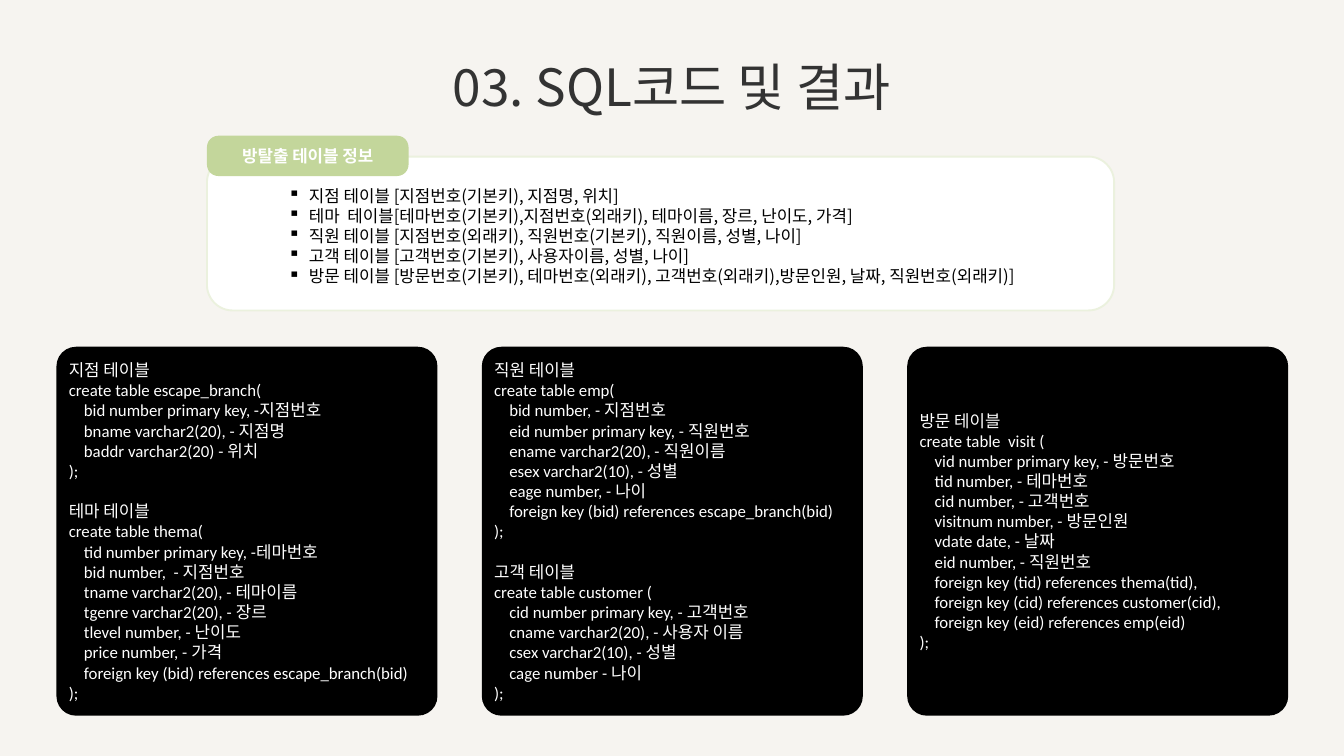
import pptx
import pptx.util
import pptx.dml.color
import pptx.enum.shapes
import pptx.enum.text
import lxml.etree

KOREAN = "Noto Sans CJK KR"
TITLE = "03. SQL코드 및 결과"
INFO_LABEL = "방탈출 테이블 정보"
TABLE_INFO = [
    "지점 테이블 [지점번호(기본키), 지점명, 위치]",
    "테마  테이블[테마번호(기본키),지점번호(외래키), 테마이름, 장르, 난이도, 가격]",
    "직원 테이블 [지점번호(외래키), 직원번호(기본키), 직원이름, 성별, 나이]",
    "고객 테이블 [고객번호(기본키), 사용자이름, 성별, 나이]",
    "방문 테이블 [방문번호(기본키), 테마번호(외래키), 고객번호(외래키),방문인원, 날짜, 직원번호(외래키)]",
]
CODE_PANELS = [
    ["""지점 테이블
create table escape_branch(
    bid number primary key, -지점번호
    bname varchar2(20), - 지점명
    baddr varchar2(20) - 위치
);""", """테마 테이블
create table thema(
    tid number primary key, -테마번호
    bid number,  - 지점번호
    tname varchar2(20), - 테마이름
    tgenre varchar2(20), - 장르
    tlevel number, - 난이도
    price number, - 가격
    foreign key (bid) references escape_branch(bid)
);"""],
    ["""직원 테이블
create table emp(
    bid number, - 지점번호
    eid number primary key, - 직원번호
    ename varchar2(20), - 직원이름
    esex varchar2(10), - 성별
    eage number, - 나이
    foreign key (bid) references escape_branch(bid)
);""", """고객 테이블
create table customer (
    cid number primary key, - 고객번호
    cname varchar2(20), - 사용자 이름
    csex varchar2(10), - 성별
    cage number - 나이
);"""],
    ["""방문 테이블
create table  visit (
    vid number primary key, - 방문번호
    tid number, - 테마번호
    cid number, - 고객번호
    visitnum number, - 방문인원
    vdate date, - 날짜
    eid number, - 직원번호
    foreign key (tid) references thema(tid),
    foreign key (cid) references customer(cid),
    foreign key (eid) references emp(eid)
);"""],
]

ALIGN = pptx.enum.text.PP_ALIGN
ANCHOR = pptx.enum.text.MSO_ANCHOR
A = "http://schemas.openxmlformats.org/drawingml/2006/main"


def color(value):
    return pptx.dml.color.RGBColor.from_string(value)


def inches(*values):
    return [pptx.util.Inches(value) for value in values]


def add_card(place, fill, rounding, border=None):
    card = slide.shapes.add_shape(
        pptx.enum.shapes.MSO_SHAPE.ROUNDED_RECTANGLE, *inches(*place))
    card.shadow.inherit = False
    card.adjustments[0] = rounding
    card.fill.solid()
    card.fill.fore_color.rgb = color(fill)
    if border:
        card.line.color.rgb = color(border)
        card.line.width = pptx.util.Pt(2)
    else:
        card.line.fill.background()
    return card


def add_bullet(paragraph):
    properties = paragraph._p.get_or_add_pPr()
    indent = pptx.util.Inches(0.31)
    properties.set("marL", str(indent))
    properties.set("indent", str(-indent))
    lxml.etree.SubElement(properties, f"{{{A}}}buChar", char="▪")


def write(shape, lines, size, ink, font=KOREAN, bold=False, align=ALIGN.LEFT,
          anchor=ANCHOR.MIDDLE, bullets=False, gaps=()):
    frame = shape.text_frame
    frame.word_wrap = True
    frame.vertical_anchor = anchor
    for number, line in enumerate(lines):
        paragraph = frame.add_paragraph() if number else frame.paragraphs[0]
        paragraph.alignment = align
        if number in gaps:
            paragraph.space_before = pptx.util.Pt(21.6)
        if bullets:
            add_bullet(paragraph)
        run = paragraph.add_run()
        run.text = line
        run.font.size = pptx.util.Pt(size)
        run.font.bold = bold
        run.font.color.rgb = color(ink)
        run.font.name = font
        lxml.etree.SubElement(run.font._element, f"{{{A}}}ea", typeface=KOREAN)


deck = pptx.Presentation()
deck.slide_width, deck.slide_height = inches(20, 11.25)
slide = deck.slides.add_slide(deck.slide_layouts[6])
slide.background.fill.solid()
slide.background.fill.fore_color.rgb = color("F6F4F0")

title = slide.shapes.add_textbox(*inches(4.9, 0.77, 10.2, 1.03))
write(title, [TITLE], 55, "333333", align=ALIGN.CENTER)

info_left = 3.08
add_card((info_left, 2.33, 13.5, 2.29), "FFFFFF", 0.167, border="EBF1DE")
label = add_card((info_left, 2.02, 3, 0.6), "C3D69B", 0.283)
write(label, [INFO_LABEL], 18, "FFFFFF", bold=True, align=ALIGN.CENTER)
info = slide.shapes.add_textbox(*inches(4.19, 2.71, 11.9, 1.62))
write(info, TABLE_INFO, 18, "000000", anchor=ANCHOR.TOP, bullets=True)

panel_left, panel_top, panel_width, panel_height = 0.84, 5.16, 5.67, 5.49
panel_step = panel_width + 0.66
for column, statements in enumerate(CODE_PANELS):
    panel = add_card((panel_left + column * panel_step, panel_top,
                      panel_width, panel_height), "000000", 0.053)
    lines, starts = [], []
    for statement in statements:
        starts.append(len(lines))
        lines += statement.split("\n")
    write(panel, lines, 18, "FFFFFF", font="Calibri", gaps=starts[1:])

deck.save("out.pptx")
